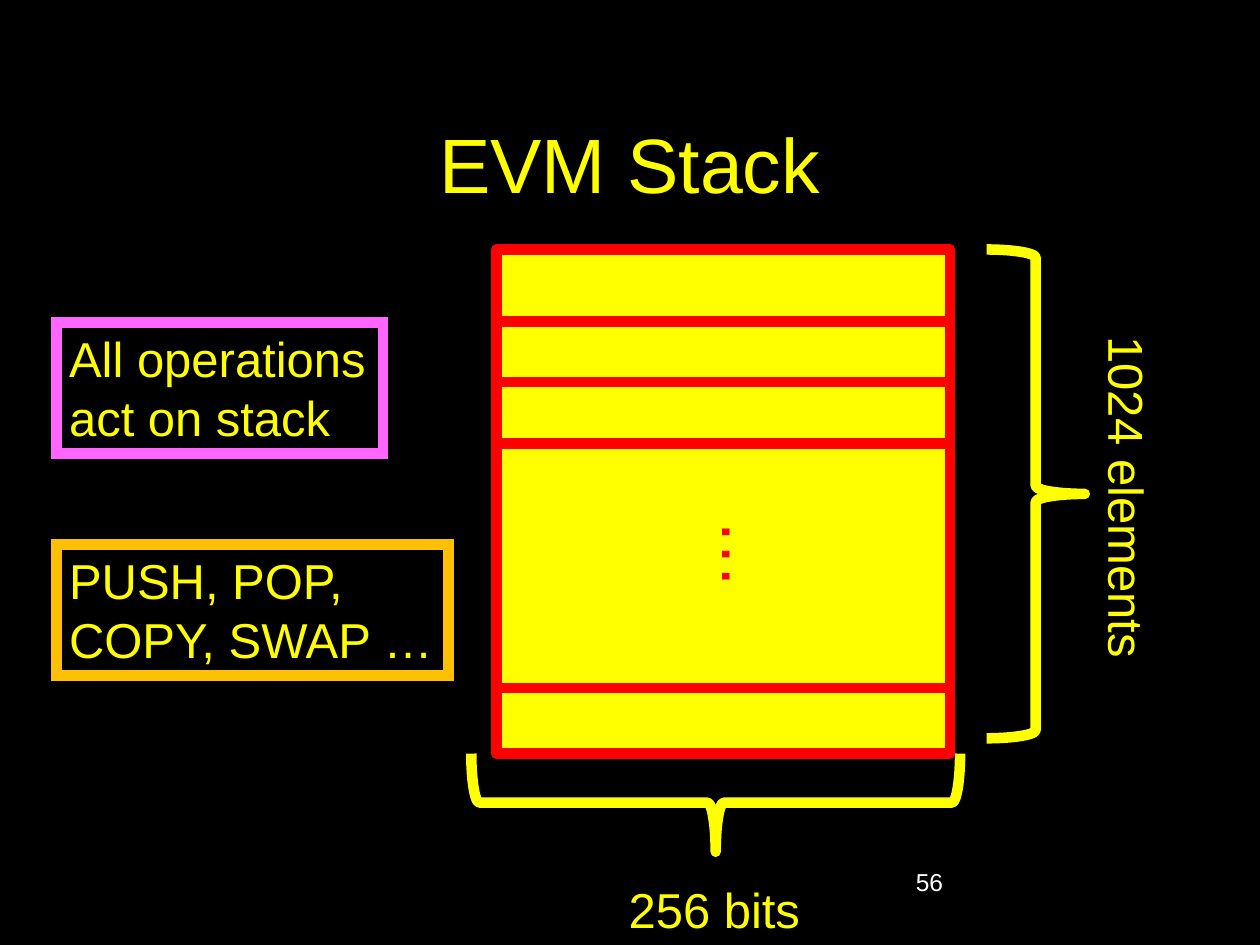
"""Build a slide that shows the EVM stack, its dimensions and its operations."""
import pptx
import pptx.dml.color
import pptx.enum.shapes
import pptx.enum.text
import pptx.util
from lxml import etree

THEME = {
    "font": "Arial",
    "colors": {"back": "000000", "main": "FFFF00", "edge": "FF0000",
               "number": "FFFFFF", "pink": "FF66FF", "orange": "FFC000"},
    "sizes": {"title": 44, "dots": 40, "label": 28, "number": 14},
    "line": 6,
}
WIDTH, HEIGHT = 10, 7.5

TITLE = ("EVM Stack", (7.5, 8.93, 85, 16.67))
STACK = (39.4, 26.4, 36, 53.33)
DIVIDERS = [(39.4, 34), (39.4, 40.4), (39.4, 46.93), (39.7, 72.8)]
BRACES = [((78.3, 26.4, 7.8, 51.73), 0), ((52.9, 59.07, 7.8, 51.73), 90)]
TEXTS = [
    {"lines": ["56"], "at": (71.7, 91.07, 20.8, 6.67), "size": "number", "color": "number"},
    {"lines": ["…"], "at": (55.7, 53.6, 7.6, 10.27), "size": "dots", "color": "edge", "turn": 90},
    {"lines": ["1024 elements"], "at": (75.6, 48.8, 27.8, 7.6), "turn": 90, "align": "CENTER"},
    {"lines": ["256 bits"], "at": (48.9, 92.4, 15.8, 7.6)},
    {"lines": ["All operations", "act on stack"], "at": (4.5, 34.13, 25.9, 13.87), "edge": "pink"},
    {"lines": ["PUSH, POP,", "COPY, SWAP …"], "at": (4.5, 57.6, 31.1, 13.87), "edge": "orange"},
]


def rgb(name):
    """Return a theme colour."""
    return pptx.dml.color.RGBColor.from_string(THEME["colors"][name])


def place(left, top, width, height):
    """Turn percentages of the slide into lengths."""
    return [pptx.util.Inches(share * side / 100)
            for share, side in zip((left, top, width, height), (WIDTH, HEIGHT) * 2)]


def paint(part, color):
    """Give a fill or a line fill a solid theme colour."""
    part.solid()
    part.fore_color.rgb = rgb(color)


def outline(sp, color):
    """Draw the heavy outline in a theme colour."""
    paint(sp.line.fill, color)
    sp.line.width = pptx.util.Pt(THEME["line"])


def write(tf, lines, size, color, align):
    """Write one formatted paragraph for each line."""
    tf.text = "\n".join(lines)
    for p in tf.paragraphs:
        p.alignment = getattr(pptx.enum.text.PP_ALIGN, align)
        for r in p.runs:
            formats = {"name": THEME["font"], "size": pptx.util.Pt(THEME["sizes"][size])}
            for key, value in formats.items():
                setattr(r.font, key, value)
            r.font.color.rgb = rgb(color)


def add_title(s):
    """Fill the title placeholder."""
    text, at = TITLE
    sp = s.shapes.title
    for key, value in zip(("left", "top", "width", "height"), place(*at)):
        setattr(sp, key, value)
    sp.text_frame.vertical_anchor = pptx.enum.text.MSO_ANCHOR.MIDDLE
    write(sp.text_frame, [text], "title", "main", "CENTER")


def add_preset(s, kind, at, edge, fill=None, turn=0):
    """Add an outlined preset shape."""
    sp = s.shapes.add_shape(getattr(pptx.enum.shapes.MSO_SHAPE, kind), *place(*at))
    sp.shadow.inherit = False
    sp.rotation = turn
    outline(sp, edge)
    if fill:
        paint(sp.fill, fill)
    else:
        sp.fill.background()


def add_divider(s, left, top):
    """Add a line across the stack."""
    x, y, width, _ = place(left, top, STACK[2], 0)
    sp = s.shapes.add_connector(pptx.enum.shapes.MSO_CONNECTOR.STRAIGHT, x, y, x + width, y)
    outline(sp, "edge")
    etree.SubElement(sp._element.spPr, pptx.oxml.ns.qn("a:effectLst"))


def add_text(s, lines, at, size="label", color="main", align="LEFT", edge=None, turn=0):
    """Add a text box, with a square-cornered frame if it has an edge colour."""
    sp = s.shapes.add_textbox(*place(*at))
    sp.rotation = turn
    sp.text_frame.word_wrap = size == "number"
    write(sp.text_frame, lines, size, color, align)
    if edge:
        paint(sp.fill, "back")
        outline(sp, edge)
        etree.SubElement(sp.line._get_or_add_ln(), pptx.oxml.ns.qn("a:miter"), lim="800000")


def main():
    """Build and save the slide."""
    prs = pptx.Presentation()
    prs.slide_width, prs.slide_height = pptx.util.Inches(WIDTH), pptx.util.Inches(HEIGHT)
    s = prs.slides.add_slide(prs.slide_layouts[5])
    paint(s.background.fill, "back")
    add_title(s)
    add_preset(s, "RECTANGLE", STACK, "edge", "main")
    for left, top in DIVIDERS:
        add_divider(s, left, top)
    for at, turn in BRACES:
        add_preset(s, "RIGHT_BRACE", at, "main", turn=turn)
    for text in TEXTS:
        add_text(s, **text)
    prs.save("out.pptx")


if __name__ == "__main__":
    main()
